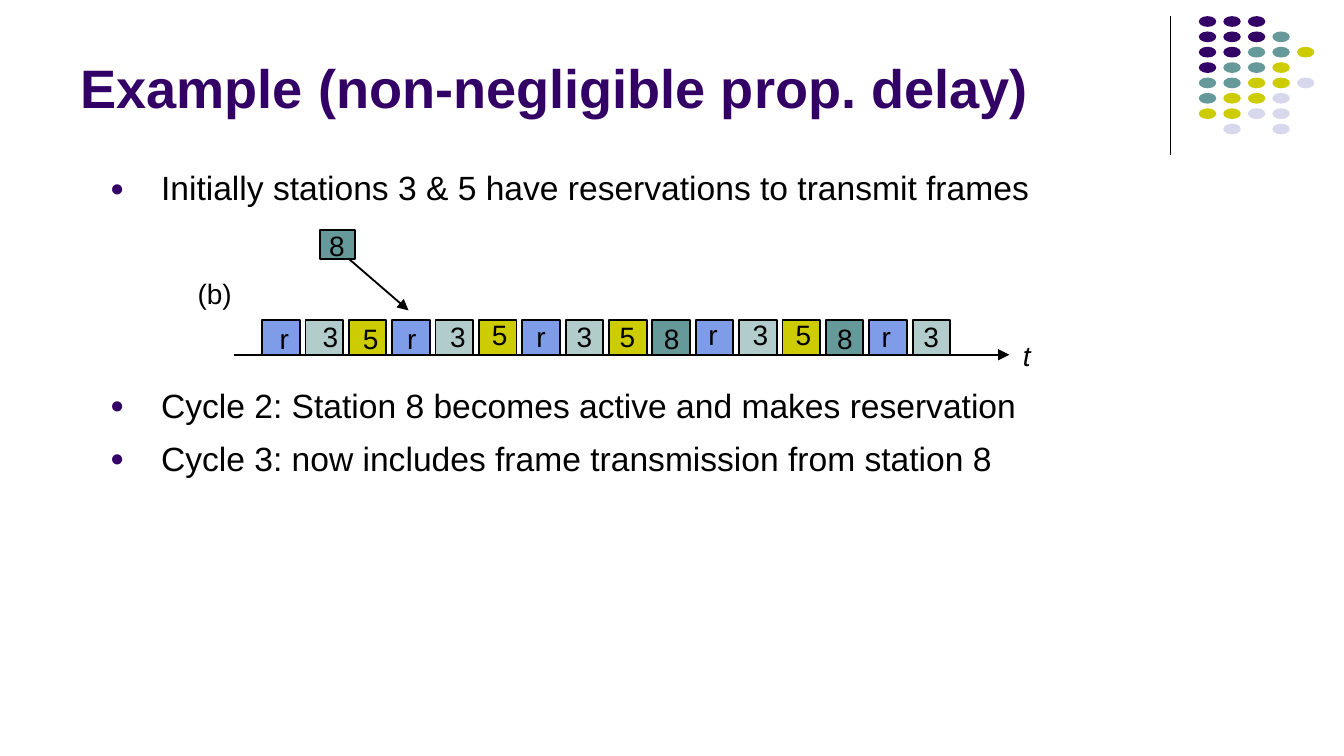
import pptx
import pptx.dml.color
import pptx.enum.shapes
import pptx.enum.text
import pptx.oxml.ns
import pptx.util
from lxml import etree

Inches = pptx.util.Inches
Pt = pptx.util.Pt
SHAPE = pptx.enum.shapes.MSO_SHAPE
ANCHOR = pptx.enum.text.MSO_ANCHOR
qn = pptx.oxml.ns.qn

BLACK, PURPLE, TEAL, OLIVE = "000000", "330066", "669999", "CCCC00"
LAVENDER, BLUE, PALE = "D8D8EC", "7E9CE8", "B1CCCB"


def rgb(value):
    return pptx.dml.color.RGBColor.from_string(value)


class Deck:
    font = "Arial"

    def __init__(self, prs):
        self.s = prs.slides.add_slide(prs.slide_layouts[6])

    def run(self, p, text, size, color=BLACK, bold=False, italic=False):
        r = p.add_run()
        r.text = text
        r.font.name, r.font.size = self.font, Pt(size)
        r.font.bold, r.font.italic = bold, italic
        r.font.color.rgb = rgb(color)

    def frame(self, x, y, w, h, wrap=True):
        tb = self.s.shapes.add_textbox(Inches(x), Inches(y), Inches(w), Inches(h))
        tb.text_frame.word_wrap = wrap
        return tb.text_frame

    def title(self, x, y, w, h, text):
        tf = self.frame(x, y, w, h)
        tf.vertical_anchor = ANCHOR.BOTTOM
        self.run(tf.paragraphs[0], text, 29, PURPLE, bold=True)

    def label(self, x, y, w, h, text, italic=False, wrap=True):
        tf = self.frame(x, y, w, h, wrap)
        tf.margin_left = tf.margin_right = Inches(0.07)
        tf.margin_top = tf.margin_bottom = Inches(0.04)
        self.run(tf.paragraphs[0], text, 15, italic=italic)

    def bullets(self, x, y, w, h, lines):
        tf = self.frame(x, y, w, h)
        for i, line in enumerate(lines):
            p = tf.paragraphs[0] if i == 0 else tf.add_paragraph()
            pPr = p._p.get_or_add_pPr()
            pPr.set("marL", str(Inches(0.38)))
            pPr.set("indent", str(Inches(-0.38)))
            clr = etree.SubElement(pPr, qn("a:buClr"))
            etree.SubElement(clr, qn("a:srgbClr"), val=PURPLE)
            etree.SubElement(pPr, qn("a:buSzPct"), val="70000")
            etree.SubElement(pPr, qn("a:buFont"), typeface=self.font)
            etree.SubElement(pPr, qn("a:buChar"), char="●")
            p.line_spacing = 0.9
            if i:
                p.space_before = Pt(9)
            self.run(p, line, 18)

    def shape(self, kind, x, y, w, h, fill, outlined=False):
        sp = self.s.shapes.add_shape(kind, Inches(x), Inches(y), Inches(w), Inches(h))
        sp.shadow.inherit = False
        sp.fill.solid()
        sp.fill.fore_color.rgb = rgb(fill)
        if outlined:
            sp.line.color.rgb = rgb(BLACK)
            sp.line.width = Pt(1)
        else:
            sp.line.fill.background()

    def line(self, x1, y1, x2, y2, width=1, arrow=False):
        cx = self.s.shapes.add_connector(
            pptx.enum.shapes.MSO_CONNECTOR.STRAIGHT,
            Inches(x1), Inches(y1), Inches(x2), Inches(y2))
        cx.line.color.rgb = rgb(BLACK)
        cx.line.width = Pt(width)
        if arrow:
            etree.SubElement(cx.line._get_or_add_ln(), qn("a:tailEnd"), type="triangle")
        etree.SubElement(cx._element.spPr, qn("a:effectLst"))


def main():
    # 16:9 slide
    prs = pptx.Presentation()
    prs.slide_width, prs.slide_height = Inches(10), Inches(10 * 9 / 16)
    d = Deck(prs)

    # Corner ornament: one letter per dot, a full stop for an empty place
    d.line(8.71, 0.12, 8.71, 1.15, 0.75)
    dot_colors = {"P": PURPLE, "T": TEAL, "O": OLIVE, "L": LAVENDER}
    rows = ["PPP..", "PPPT.", "PPTTO", "PTTO.", "TTOOL", "TOOL.", "OOLL.", ".L.L."]
    for i, row in enumerate(rows):
        for j, key in enumerate(row):
            if key in dot_colors:
                d.shape(SHAPE.OVAL, 8.92 + j * 0.73 / 4, 0.12 + i * 0.8 / 7,
                        0.13, 0.08, dot_colors[key])

    # Title and bullets
    d.title(0.5, 0.1, 8.25, 0.84, "Example (non-negligible prop. delay)")
    d.bullets(0.72, 1.23, 7.72, 0.48,
              ["Initially stations 3 & 5 have reservations to transmit frames"])
    d.bullets(0.72, 2.85, 7.61, 0.82,
              ["Cycle 2: Station 8 becomes active and makes reservation",
               "Cycle 3: now includes frame transmission from station 8"])

    # Time slots: label with its left and top
    slot_colors = {"r": BLUE, "3": PALE, "5": OLIVE, "8": TEAL}
    slots = [("r", 2.01, 2.35), ("3", 2.33, 2.34), ("5", 2.63, 2.35),
             ("r", 2.96, 2.35), ("3", 3.28, 2.34), ("5", 3.59, 2.32),
             ("r", 3.92, 2.34), ("3", 4.22, 2.34), ("5", 4.54, 2.34), ("8", 4.87, 2.35),
             ("r", 5.2, 2.32), ("3", 5.53, 2.32), ("5", 5.85, 2.32), ("8", 6.16, 2.35),
             ("r", 6.49, 2.34), ("3", 6.8, 2.34)]
    pitch = (6.79 - 1.95) / (len(slots) - 1)
    for i, (name, x, y) in enumerate(slots):
        d.shape(SHAPE.RECTANGLE, 1.95 + i * pitch, 2.38, 0.28, 0.26,
                slot_colors[name], outlined=True)
        d.label(x, y, 0.19 if name == "r" else 0.23, 0.33, name)

    # Station 8 joining
    d.shape(SHAPE.RECTANGLE, 2.38, 1.71, 0.26, 0.22, TEAL, outlined=True)
    d.label(2.38, 1.66, 0.23, 0.33, "8")
    d.line(2.6, 1.93, 3.04, 2.31, arrow=True)

    # Time axis
    d.label(1.4, 2.02, 0.41, 0.32, "(b)", wrap=False)
    d.line(1.74, 2.64, 7.51, 2.64, arrow=True)
    d.label(7.54, 2.48, 0.35, 0.33, "t", italic=True)

    prs.save("out.pptx")


if __name__ == "__main__":
    main()
